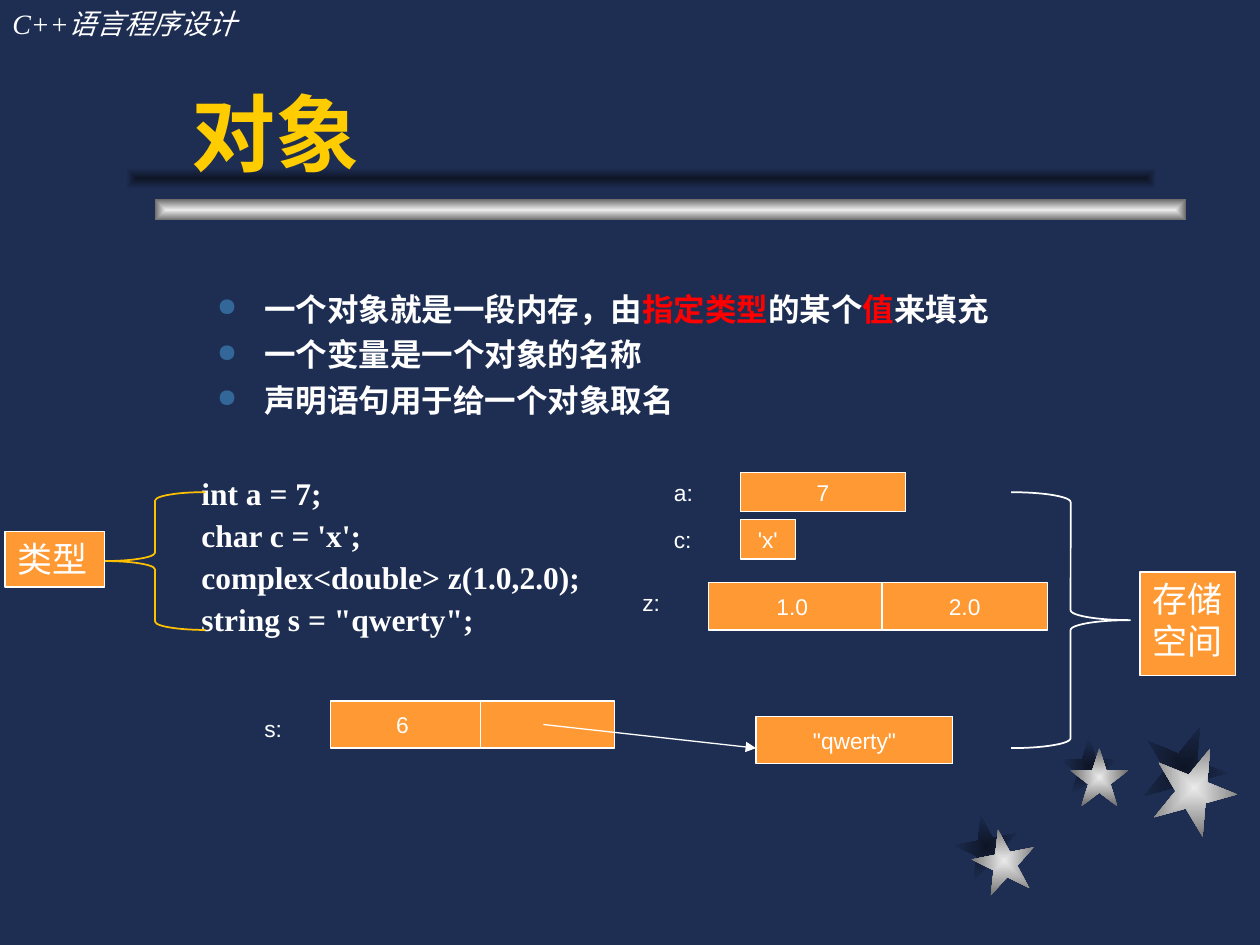
import pptx
import pptx.dml.color
import pptx.enum.dml
import pptx.enum.shapes
import pptx.enum.text
import pptx.oxml
import pptx.oxml.ns
import pptx.util
from dataclasses import dataclass
from typing import Any, NamedTuple

RGB = pptx.dml.color.RGBColor
KIND = pptx.enum.shapes.MSO_SHAPE
ALIGN = pptx.enum.text.PP_ALIGN
ANCHOR = pptx.enum.text.MSO_ANCHOR
qn = pptx.oxml.ns.qn

NAVY = RGB(0x1E, 0x2E, 0x53)
DARK = RGB(0x0E, 0x15, 0x26)
LIGHT = RGB(0xEA, 0xEA, 0xEA)
GREY = RGB(0x6C, 0x6C, 0x6C)
WHITE = RGB(0xFF, 0xFF, 0xFF)
GOLD = RGB(0xFF, 0xCC, 0x00)
AMBER = RGB(0xFF, 0xC0, 0x00)
ORANGE = RGB(0xFF, 0x99, 0x33)
RED = RGB(0xFF, 0x00, 0x00)

# The grid has 160 columns and 120 rows, sixteen to the inch
COLS, ROWS = 160, 120
UNIT = pptx.util.Inches(10) // COLS

SERIF = {"name": "Times New Roman", "size": pptx.util.Pt(18), "bold": True}
LABEL = {"name": "Arial", "size": pptx.util.Pt(13)}
NOTE = {"name": "Times New Roman", "size": pptx.util.Pt(20)}
HEAD = {"name": "Times New Roman", "size": pptx.util.Pt(16), "italic": True}
TITLE = {"name": "Arial", "size": pptx.util.Pt(48), "bold": True}

BULLET = ('<a:buClr {0}><a:srgbClr val="336699"/></a:buClr>',
          '<a:buSzPct {0} val="80000"/>',
          '<a:buChar {0} char="●"/>')


class Area(NamedTuple):
    col: float
    row: float
    wide: float
    high: float


@dataclass
class Box:
    text: str
    area: Area


@dataclass
class Star:
    area: Area
    turn: int


def span(area: Area) -> list[int]:
    return [round(part * UNIT) for part in area]


def put(thing: Any, values: dict) -> None:
    for key, value in values.items():
        setattr(thing, key, value)


def shape(slide: Any, kind: Any, area: Area) -> Any:
    made = slide.shapes.add_shape(kind, *span(area))
    made.shadow.inherit = False
    return made


def shade(made: Any, core: RGB, edge: RGB) -> None:
    """Fill from the centre outwards, with no outline."""
    made.line.fill.background()
    made.fill.gradient()
    for stop, tint in zip(made.fill.gradient_stops, (core, edge)):
        stop.color.rgb = tint
    grad = made.fill._xPr.find(qn("a:gradFill"))
    ray = pptx.oxml.parse_xml(
        f'<a:path {pptx.oxml.ns.nsdecls("a")} path="rect"><a:fillToRect '
        'l="50000" t="50000" r="50000" b="50000"/></a:path>')
    grad.replace(grad.find(qn("a:lin")), ray)


def write(frame: Any, lines: list, font: dict, tint: RGB = WHITE,
          form: dict | None = None, gap: float = 0, bullet: bool = False) -> None:
    """Each line is a list of (text, colour) runs or a plain string."""
    for num, line in enumerate(lines):
        para = frame.add_paragraph() if num else frame.paragraphs[0]
        put(para, form or {})
        if num:
            para.space_before = pptx.util.Pt(gap)
        if bullet:
            props = para._p.get_or_add_pPr()
            props.set("marL", str(6 * UNIT))
            props.set("indent", str(-6 * UNIT))
            for tag in BULLET:
                props.append(pptx.oxml.parse_xml(
                    tag.format(pptx.oxml.ns.nsdecls("a"))))
        for text, hue in [(line, tint)] if isinstance(line, str) else line:
            run = para.add_run()
            run.text = text
            put(run.font, font)
            run.font.color.rgb = hue


def words(slide: Any, area: Area, lines: list, font: dict,
          frame: dict | None = None, **rest: Any) -> None:
    made = slide.shapes.add_textbox(*span(area))
    put(made.text_frame, {"word_wrap": True, **(frame or {})})
    write(made.text_frame, lines, font, **rest)


def block(slide: Any, box: Box, font: dict, width: float, align: Any,
          frame: dict) -> None:
    made = shape(slide, KIND.RECTANGLE, box.area)
    made.fill.solid()
    made.fill.fore_color.rgb = ORANGE
    made.line.color.rgb = WHITE
    made.line.width = pptx.util.Pt(width)
    put(made.text_frame, frame)
    if box.text:
        write(made.text_frame, [box.text], font, form={"alignment": align})


def brace(slide: Any, kind: Any, area: Area, tint: RGB) -> None:
    made = shape(slide, kind, area)
    made.fill.background()
    made.line.color.rgb = tint
    made.line.width = pptx.util.Pt(1)


def arrow(slide: Any, start: tuple, end: tuple) -> None:
    ends = [round(part * UNIT) for part in (*start, *end)]
    made = slide.shapes.add_connector(
        pptx.enum.shapes.MSO_CONNECTOR.STRAIGHT, *ends)
    made.line.color.rgb = WHITE
    made.line.width = pptx.util.Pt(0.75)
    decl = pptx.oxml.ns.nsdecls("a")
    made.line._get_or_add_ln().append(
        pptx.oxml.parse_xml(f'<a:tailEnd {decl} type="triangle"/>'))
    made._element.spPr.append(pptx.oxml.parse_xml(f"<a:effectLst {decl}/>"))


STARS = {
    (DARK, NAVY): [Star(Area(121.3, 103.5, 8, 8), -11),
                   Star(Area(134.6, 93.6, 7.4, 7.4), 0),
                   Star(Area(145, 92, 10.7, 10.7), 22)],
    (LIGHT, GREY): [Star(Area(123.5, 105.3, 8, 8), -11),
                    Star(Area(135.9, 95, 7.4, 7.4), 0),
                    Star(Area(146.3, 94.7, 10.7, 10.7), 22)],
}
BARS = {(LIGHT, GREY): Area(19.7, 25.3, 130.9, 2.7),
        (DARK, NAVY): Area(16, 21.3, 130.9, 2.7)}
POINTS = [
    [("一个对象就是一段内存，由", WHITE), ("指定类型", RED), ("的某个", WHITE),
     ("值", RED), ("来填充", WHITE)],
    "一个变量是一个对象的名称",
    "声明语句用于给一个对象取名",
]
CODE = ["int a = 7;", "char c = 'x';", "complex<double> z(1.0,2.0);",
        'string s = "qwerty";']
CELLS = [Box("7", Area(94, 60, 21, 5)), Box("'x'", Area(94, 66, 7, 5)),
         Box("1.0 ", Area(90, 74, 22, 6)), Box("", Area(61, 89, 17, 6)),
         Box('"qwerty"', Area(96, 91, 25, 6)), Box("2.0", Area(112, 74, 21, 6)),
         Box("6 ", Area(42, 89, 19, 6))]
NAMES = [Box("a:", Area(84, 60, 7, 5)), Box("s:", Area(32, 90, 8, 5)),
         Box("c:", Area(84, 66, 8, 5)), Box("z:", Area(80, 74, 6.3, 5))]


def main() -> None:
    deck = pptx.Presentation()
    put(deck, {"slide_width": COLS * UNIT, "slide_height": ROWS * UNIT})
    slide = deck.slides.add_slide(deck.slide_layouts[6])
    slide.background.fill.solid()
    slide.background.fill.fore_color.rgb = NAVY

    # Stars and title bars
    for tints, stars in STARS.items():
        for star in stars:
            made = shape(slide, KIND.STAR_5_POINT, star.area)
            made.rotation = star.turn
            shade(made, *tints)
    for tints, area in BARS.items():
        shade(shape(slide, KIND.RECTANGLE, area), *tints)

    # Heading, bullets and code
    words(slide, Area(0, 0, 49.3, 6), ["C++语言程序设计"], HEAD)
    words(slide, Area(22.7, 4, 125.3, 20), ["对象"], TITLE, tint=GOLD,
          frame={"vertical_anchor": ANCHOR.BOTTOM})
    words(slide, Area(26, 36, 122, 22), POINTS, SERIF, gap=4.5, bullet=True)
    words(slide, Area(24, 60, 57, 42.4), CODE, SERIF, gap=4.5,
          form={"line_spacing": 0.9})

    # Memory cells with their names
    for cell in CELLS:
        block(slide, cell, LABEL, 0.75, ALIGN.CENTER,
              {"word_wrap": False, "vertical_anchor": ANCHOR.MIDDLE})
    arrow(slide, (69, 92), (96, 95))
    for name in NAMES:
        words(slide, name.area, [name.text], LABEL)

    # Braces and their notes
    top = {"word_wrap": True, "vertical_anchor": ANCHOR.TOP}
    brace(slide, KIND.LEFT_BRACE, Area(13.3, 62.5, 12.8, 17.5), AMBER)
    block(slide, Box("类型", Area(0.6, 67.5, 12.7, 7)), NOTE, 1, ALIGN.LEFT, top)
    brace(slide, KIND.RIGHT_BRACE, Area(128.4, 62.5, 15.1, 32.5), WHITE)
    block(slide, Box("存储空间", Area(144.8, 72.6, 12.1, 13.2)), NOTE, 1,
          ALIGN.CENTER, top)
    deck.save("out.pptx")


if __name__ == "__main__":
    main()
